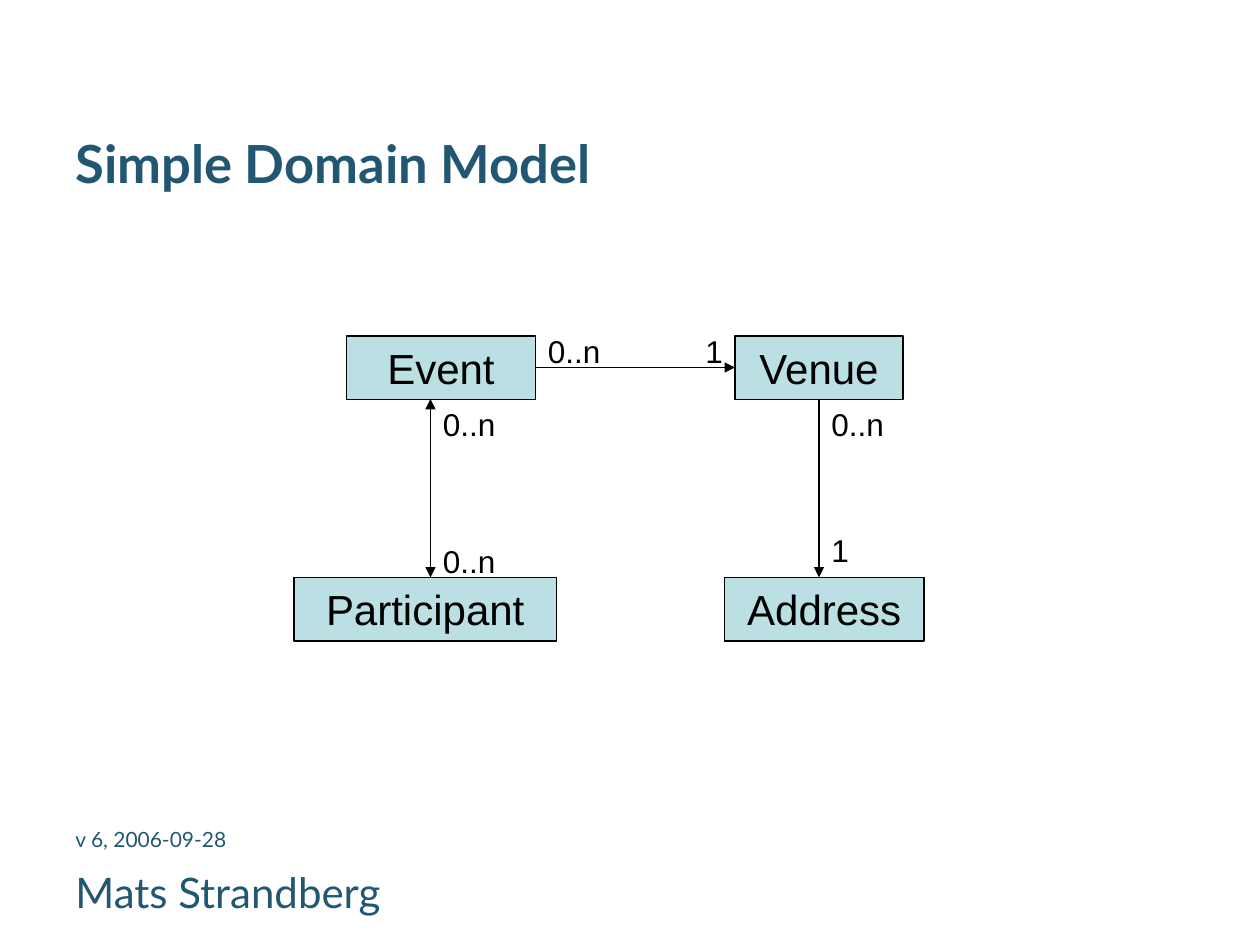
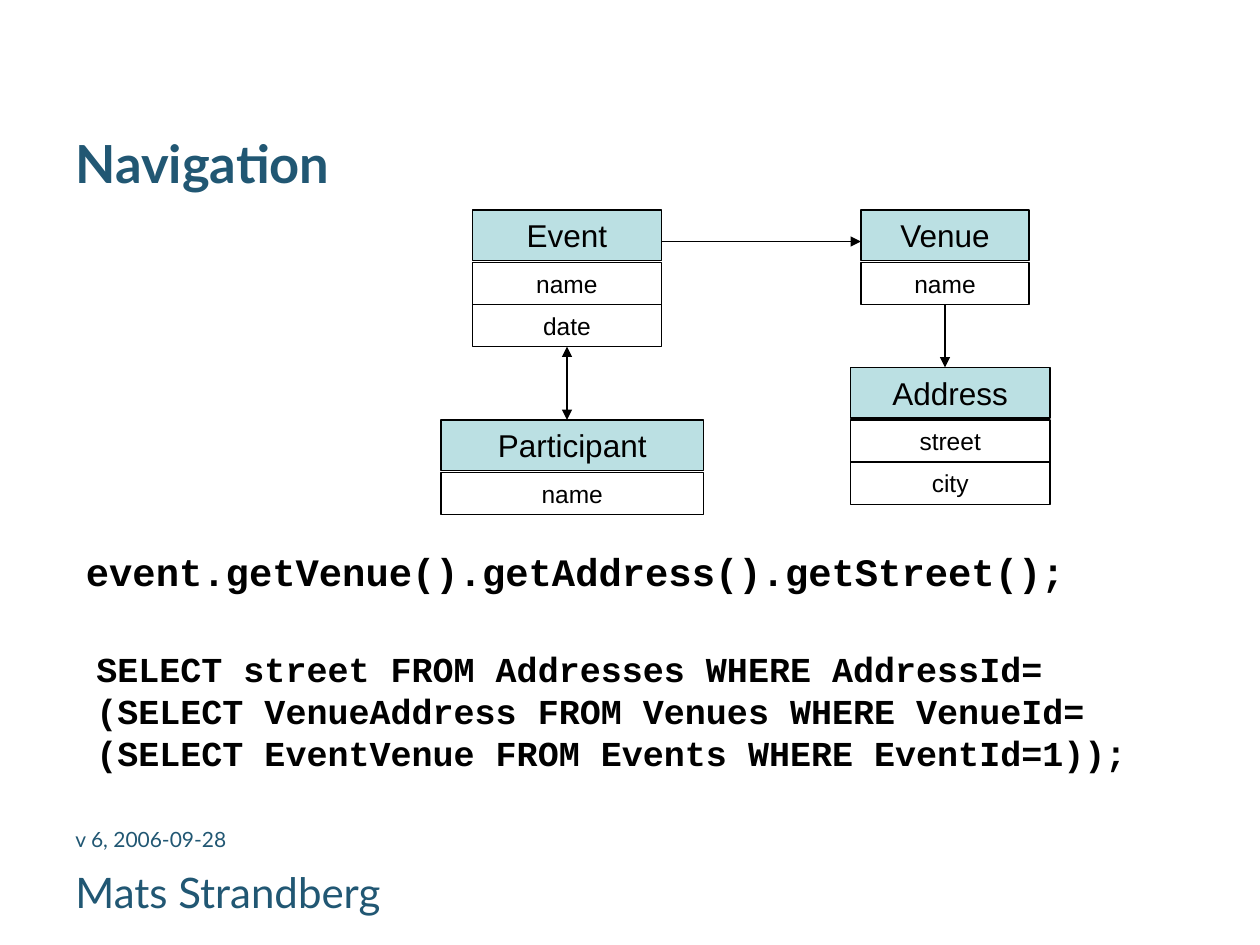
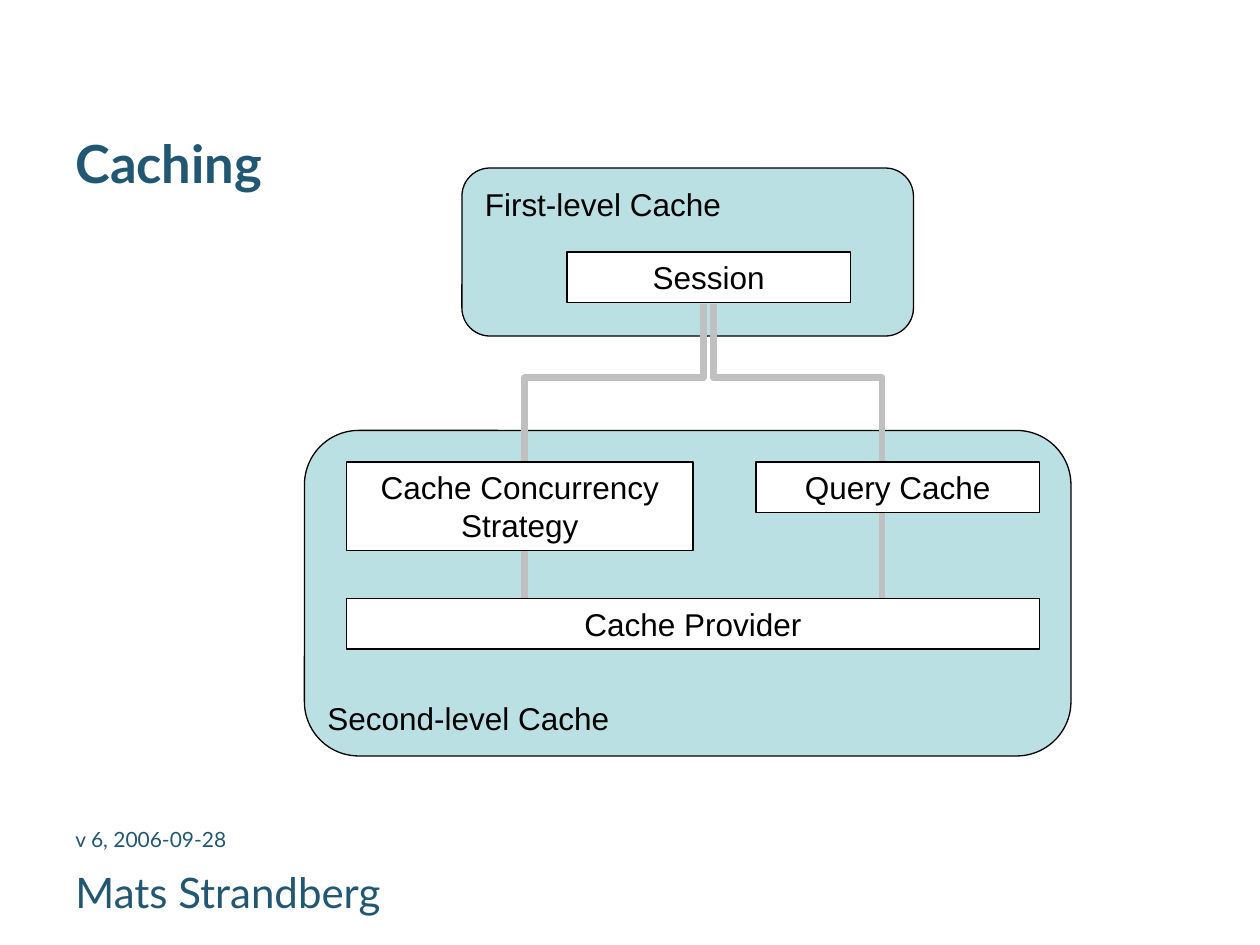
from pptx import Presentation
from pptx.dml.color import RGBColor
from pptx.enum.shapes import MSO_CONNECTOR, MSO_SHAPE
from pptx.enum.text import MSO_ANCHOR, MSO_AUTO_SIZE, PP_ALIGN
from pptx.oxml.ns import qn
from pptx.util import Pt
from lxml.etree import SubElement

TEAL = "215773"
PALE = "BBE0E3"
BLACK = "000000"
WHITE = "FFFFFF"
GREY = "C0C0C0"
THIN = 0.74


def color(code):
    return RGBColor.from_string(code)


def write(shape, text, size, font="Arial", ink=BLACK, bold=False,
          align=PP_ALIGN.LEFT, wrap=True, grow=True):
    frame = shape.text_frame
    frame.word_wrap = wrap
    frame.auto_size = MSO_AUTO_SIZE.SHAPE_TO_FIT_TEXT if grow else MSO_AUTO_SIZE.NONE
    frame.vertical_anchor = MSO_ANCHOR.TOP
    para = frame.paragraphs[0]
    para.alignment = align
    for index, line in enumerate(text.split("\n")):
        if index:
            para.add_line_break()
        run = para.add_run()
        run.text = line
        run.font.name = font
        run.font.size = Pt(size)
        run.font.bold = bold
        run.font.color.rgb = color(ink)
    return para


def label(slide, x, y, w, h, text, size, **style):
    shape = slide.shapes.add_textbox(Pt(x), Pt(y), Pt(w), Pt(h))
    return write(shape, text, size, **style)


def panel(slide, x, y, w, h, fill=None, kind=MSO_SHAPE.RECTANGLE):
    shape = slide.shapes.add_shape(kind, Pt(x), Pt(y), Pt(w), Pt(h))
    shape.shadow.inherit = False
    if fill:
        shape.fill.solid()
        shape.fill.fore_color.rgb = color(fill)
    else:
        shape.fill.background()
    shape.line.color.rgb = color(BLACK)
    shape.line.width = Pt(THIN)
    return shape


def box(slide, x, y, w, h, text, size, fill=None):
    write(panel(slide, x, y, w, h, fill), text, size, align=PP_ALIGN.CENTER)


def arrow(slide, x1, y1, x2, y2, both=False):
    line = slide.shapes.add_connector(
        MSO_CONNECTOR.STRAIGHT, Pt(x1), Pt(y1), Pt(x2), Pt(y2))
    line.line.color.rgb = color(BLACK)
    line.line.width = Pt(THIN)
    props = line.line._get_or_add_ln()
    for end in ("a:headEnd", "a:tailEnd") if both else ("a:tailEnd",):
        SubElement(props, qn(end)).set("type", "triangle")
    SubElement(line._element.spPr, qn("a:effectLst"))


def pipe(slide, points):
    start, *rest = [(Pt(x), Pt(y)) for x, y in points]
    path = slide.shapes.build_freeform(*start)
    path.add_line_segments(rest, close=False)
    shape = path.convert_to_shape()
    shape.shadow.inherit = False
    shape.fill.background()
    shape.line.color.rgb = color(GREY)
    shape.line.width = Pt(4)


def entity(slide, x, y, w, name, fields):
    box(slide, x, y, w, 28.9, name, 18, PALE)
    for row, field in enumerate(fields):
        box(slide, x, y + 30 + 24 * row, w, 24.2, field, 14)


def frame(slide, title):
    brand = dict(font="Lato", ink=TEAL, grow=False)
    label(slide, 36, 71.6, 648, 51, title, 30, bold=True, **brand)
    label(slide, 36, 491.6, 228, 37.4, "Mats Strandberg", 24, **brand)
    label(slide, 36, 468.7, 168, 28, "v 6, 2006-09-28", 12, **brand)


def domain(slide):
    frame(slide, "Simple Domain Model")
    for x, y, w, name in ((198, 192, 108, "Event"), (168, 330, 150, "Participant"),
                          (420, 192, 96, "Venue"), (414, 330, 114, "Address")):
        box(slide, x, y, w, 36.3, name, 24, PALE)
    arrow(slide, 246, 228, 246, 330, both=True)
    arrow(slide, 306, 210, 420, 210)
    arrow(slide, 468, 228, 468, 330)
    for x, y, text in ((246, 228, "0..n"), (246, 306, "0..n"), (306, 186, "0..n"),
                       (396, 186, "1"), (468, 228, "0..n"), (468, 300, "1")):
        width = 45 if len(text) > 1 else 24.5
        label(slide, x, y, width, 28.9, text, 18, wrap=False)


def query(slide):
    frame(slide, "Navigation")
    entity(slide, 270, 120, 108, "Event", ("name", "date"))
    entity(slide, 252, 240, 150, "Participant", ("name",))
    entity(slide, 492, 120, 96, "Venue", ("name",))
    entity(slide, 486, 210, 114, "Address", ("street", "city"))
    arrow(slide, 324, 198, 324, 240, both=True)
    arrow(slide, 378, 138, 492, 138)
    arrow(slide, 540, 174, 540, 210)
    code = dict(font="Courier New", bold=True)
    para = label(slide, 42, 312.3, 624, 36,
                 "event.getVenue().getAddress().getStreet();", 22.2, grow=False, **code)
    para.line_spacing = 0.9
    para.space_before = Pt(6)
    props = para._p.get_or_add_pPr()
    props.set("marL", str(Pt(27)))
    props.set("indent", str(Pt(-27)))
    label(slide, 48, 366.3, 612, 79.2,
          "SELECT street FROM Addresses WHERE AddressId=\n"
          "(SELECT VenueAddress FROM Venues WHERE VenueId=\n"
          "(SELECT EventVenue FROM Events WHERE EventId=1));", 20, **code)


def cache(slide):
    for x, y, w, h in ((174, 246, 438, 186), (264, 96, 258, 96)):
        panel(slide, x, y, w, h, PALE, MSO_SHAPE.ROUNDED_RECTANGLE)
    for top, end in ((408, 504), (402, 300)):
        pipe(slide, ((top, 174), (top, 216), (end, 216), (end, 342)))
    frame(slide, "Caching")
    for x, y, w, text in ((270, 102, 150, "First-level Cache"),
                          (180, 396, 198, "Second-level Cache")):
        label(slide, x, y, w, 28.9, text, 18).space_before = Pt(11.2)
    for x, y, w, h, text in ((324, 144, 162, 28.9, "Session"),
                             (432, 264, 162, 28.9, "Query Cache"),
                             (198, 264, 198, 50.5, "Cache Concurrency Strategy"),
                             (198, 342, 396, 28.9, "Cache Provider")):
        box(slide, x, y, w, h, text, 18, WHITE)


def main():
    deck = Presentation()
    deck.slide_width, deck.slide_height = Pt(720), Pt(540)
    for draw in (domain, query, cache):
        draw(deck.slides.add_slide(deck.slide_layouts[6]))
    deck.save("out.pptx")


main()
